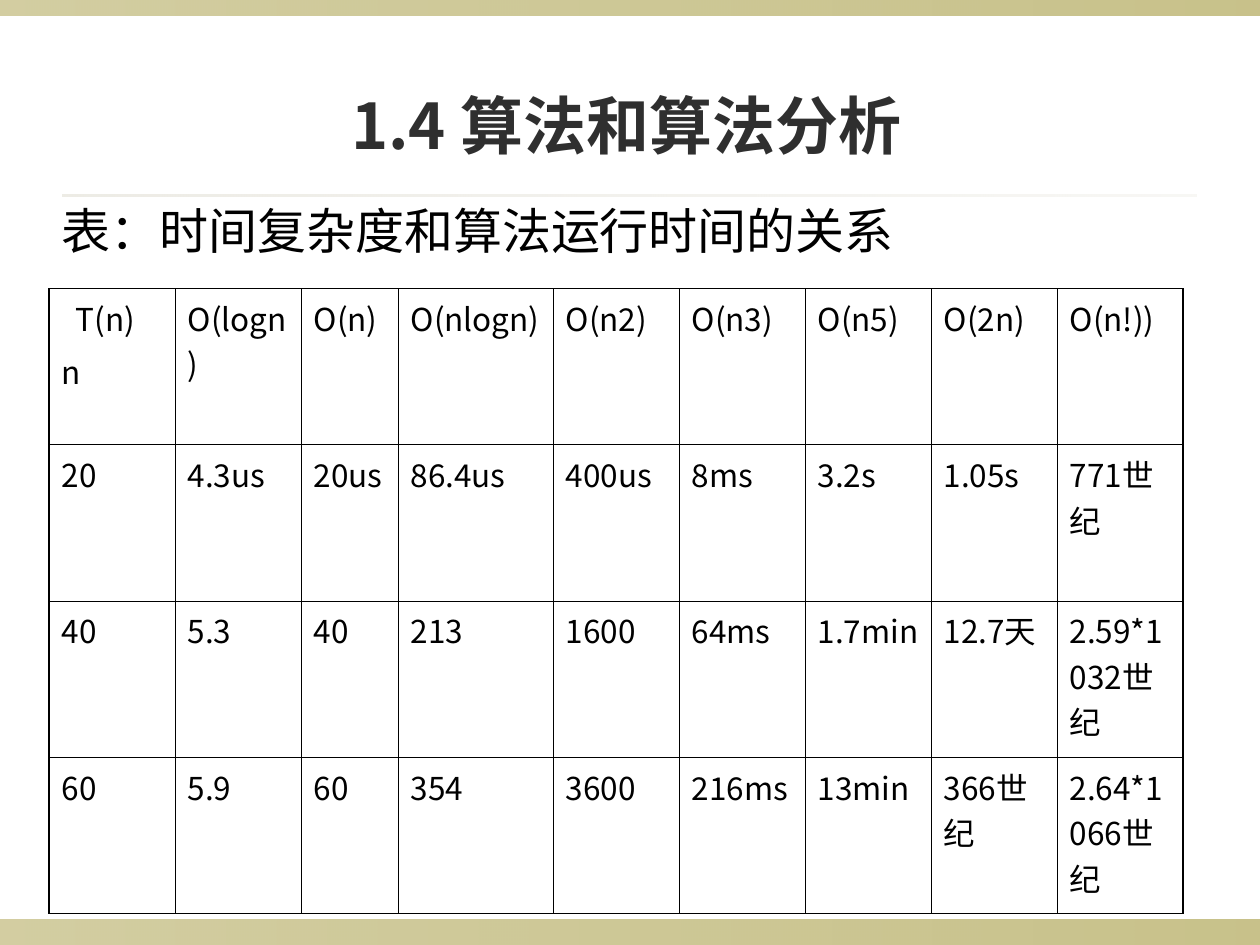
from lxml.etree import SubElement
from pptx import Presentation
from pptx.dml.color import RGBColor
from pptx.enum.shapes import MSO_SHAPE
from pptx.enum.text import MSO_ANCHOR, PP_ALIGN
from pptx.oxml.ns import qn
from pptx.util import Inches, Pt

FONT = "Noto Sans CJK SC"
OLIVE = RGBColor(0x91, 0x84, 0x15)
SAND = RGBColor(0xDC, 0xD9, 0xCC)
CHARCOAL = RGBColor(0x2F, 0x2F, 0x2F)
BLACK = RGBColor(0, 0, 0)
THIN, THICK = 0.45, 1.08


def write(paragraph, text, size, color, bold=False):
    run = paragraph.add_run()
    run.text = text
    for name, value in {"name": FONT, "size": Pt(size), "bold": bold}.items():
        setattr(run.font, name, value)
    run.font.color.rgb = color
    SubElement(run.font._element, qn("a:ea"), typeface=FONT)


def draw_borders(cell, widths):
    properties = cell._tc.get_or_add_tcPr()
    for side, width in widths.items():
        line = SubElement(properties, qn(f"a:ln{side}"), w=str(Pt(width)))
        if width:
            fill = SubElement(line, qn("a:solidFill"))
            SubElement(fill, qn("a:srgbClr"), val=str(BLACK))
        else:
            SubElement(line, qn("a:noFill"))


presentation = Presentation()
presentation.slide_width = Inches(10)
presentation.slide_height = Inches(7.5)
slide = presentation.slides.add_slide(presentation.slide_layouts[5])

bars = [
    (0, 7.3, 10, 0.2, OLIVE, (40, 50)),
    (0, 0, 10, 0.12, OLIVE, (40, 50)),
    (0.5, 1.54, 9, 0.02, SAND, (50, 20)),
]
for left, top, width, height, color, opacities in bars:
    bar = slide.shapes.add_shape(
        MSO_SHAPE.RECTANGLE, Inches(left), Inches(top), Inches(width), Inches(height)
    )
    bar.shadow.inherit = False
    bar.line.fill.background()
    bar.fill.gradient()
    bar.fill.gradient_angle = 0
    for stop, opacity in zip(bar.fill.gradient_stops, opacities):
        stop.color.rgb = color
        color_element = stop._gs.find(qn("a:srgbClr"))
        SubElement(color_element, qn("a:alpha"), val=str(opacity * 1000))

title = slide.shapes.title
placement = {"left": 0.47, "top": 0.7, "width": 9, "height": 0.58}
for name, value in placement.items():
    setattr(title, name, Inches(value))
title.text_frame.vertical_anchor = MSO_ANCHOR.MIDDLE
title_paragraph = title.text_frame.paragraphs[0]
title_paragraph.alignment = PP_ALIGN.CENTER
write(title_paragraph, "1.4 算法和算法分析", 36, CHARCOAL, True)

rows = [
    ["表：时间复杂度和算法运行时间的关系"],
    ["T(n)\nn", "O(logn)", "O(n)", "O(nlogn)", "O(n2)", "O(n3)", "O(n5)", "O(2n)", "O(n!))"],
    ["20", "4.3us", "20us", "86.4us", "400us", "8ms", "3.2s", "1.05s", "771世纪"],
    ["40", "5.3", "40", "213", "1600", "64ms", "1.7min", "12.7天", "2.59*1032世纪"],
    ["60", "5.9", "60", "354", "3600", "216ms", "13min", "366世纪", "2.64*1066世纪"],
]
column_widths = [1, 1, 0.77, 1.23, 1, 1, 1, 1, 1]
row_heights = [0.81] + [1.24] * 4
last_row, last_column = len(rows) - 1, len(column_widths) - 1

table = slide.shapes.add_table(
    len(rows), len(column_widths), Inches(0.39), Inches(1.48), Inches(9), Inches(5.76)
).table
table.first_row = False
table.horz_banding = False
for column, width in zip(table.columns, column_widths):
    column.width = Inches(width)
for row, height in zip(table.rows, row_heights):
    row.height = Inches(height)
table.cell(0, 0).merge(table.cell(0, last_column))

for row_index in range(len(rows)):
    for column_index in range(len(column_widths)):
        cell = table.cell(row_index, column_index)
        if row_index == 0:
            widths = {"L": 0, "R": 0, "T": 0, "B": THIN}
        else:
            widths = {
                "L": THICK if column_index == 0 else THIN,
                "R": THICK if column_index == last_column else THIN,
                "T": THIN,
                "B": THICK if row_index == last_row else THIN,
            }
        draw_borders(cell, widths)
        cell.fill.background()

for row_index, texts in enumerate(rows):
    size, space = (28, 7) if row_index == 0 else (18, 4.5)
    for column_index, text in enumerate(texts):
        frame = table.cell(row_index, column_index).text_frame
        for line_index, line_text in enumerate(text.split("\n")):
            paragraph = frame.add_paragraph() if line_index else frame.paragraphs[0]
            paragraph.space_before = Pt(space)
            write(paragraph, line_text, size, BLACK)

corner_paragraph = table.cell(1, 0).text_frame.paragraphs[0]
corner_paragraph._p.get_or_add_pPr().set("marL", str(Inches(0.11)))

presentation.save("out.pptx")
